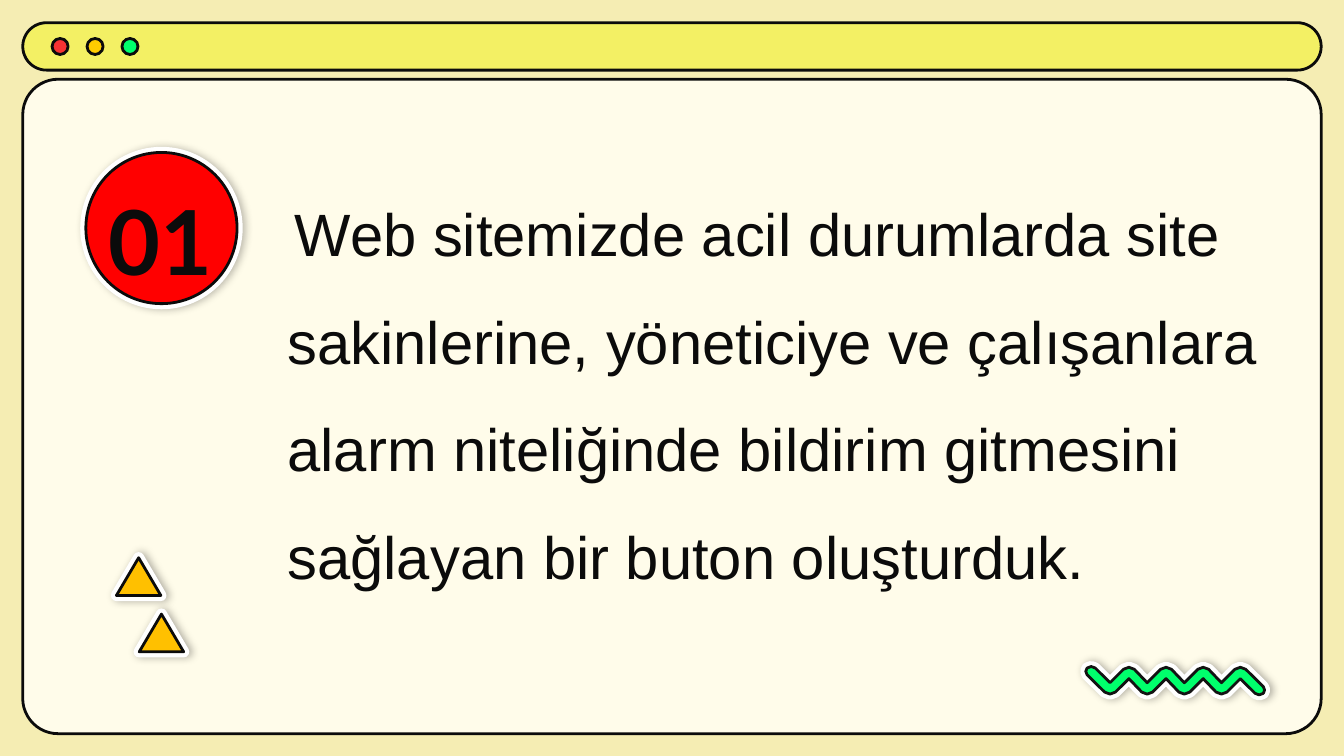
import pptx
import pptx.dml.color
import pptx.enum.shapes
import pptx.enum.text
import pptx.oxml
import pptx.oxml.ns
import pptx.util

Pt = pptx.util.Pt
SHAPE = pptx.enum.shapes.MSO_SHAPE
ALIGN = pptx.enum.text.PP_ALIGN
ANCHOR = pptx.enum.text.MSO_ANCHOR
AUTO_SIZE = pptx.enum.text.MSO_AUTO_SIZE
INK = "0B0B0B"


def color(hex_value):
    return pptx.dml.color.RGBColor.from_string(hex_value)


def apply_format(target, values):
    for name, value in values.items():
        setattr(target, name, value)


def paint(shape, fill, line, width):
    shape.shadow.inherit = False
    shape.fill.solid()
    shape.fill.fore_color.rgb = color(fill)
    shape.line.color.rgb = color(line)
    shape.line.width = Pt(width)


def add_shadow(shape, opacity):
    effects = shape._element.spPr.find(pptx.oxml.ns.qn("a:effectLst"))
    effects.append(pptx.oxml.parse_xml(
        f'<a:outerShdw {pptx.oxml.ns.nsdecls("a")} blurRad="{Pt(4.5)}" dist="{Pt(1.5)}" '
        'dir="0" algn="bl" rotWithShape="0"><a:srgbClr val="000000">'
        f'<a:alpha val="{opacity * 1000}"/></a:srgbClr></a:outerShdw>'))


def add_preset(shapes, kind, box, fill, line=INK, width=1.5, rounding=None):
    shape = shapes.add_shape(kind, *map(Pt, box))
    if rounding is not None:
        shape.adjustments[0] = rounding
    paint(shape, fill, line, width)
    return shape


def add_sticker(shapes, kind, box, fill, opacity):
    backing = add_preset(shapes, kind, box, fill, "FFFFFF", 6)
    add_shadow(backing, opacity)
    add_preset(shapes, kind, box, fill)


def zigzag_points(center_x, center_y):
    half = [(-47.2, -3.2), (-47.9, -5), (-47.2, -6.8), (-45, -7.6), (-42.8, -6.8)]
    for tooth in range(4):
        shift = 19.9 * tooth
        half += [(-34.9 + shift, 1.1), (-27.7 + shift, -6.1),
                 (-24.8 + shift, -7.2), (-21.9 + shift, -6.1)]
    outline = half + [(-x, -y) for x, y in half]
    return [(round((center_x + x) * 100), round((center_y + y) * 100)) for x, y in outline]


def add_zigzag(shapes, line, width):
    points = zigzag_points(629.6, 364.7)
    builder = shapes.build_freeform(*points[0], scale=Pt(1) / 100)
    builder.add_line_segments(points[1:], close=True)
    zigzag = builder.convert_to_shape()
    paint(zigzag, "00FF6C", line, width)
    return zigzag


def add_text(shapes, box, runs, frame_format, paragraph_format):
    frame = shapes.add_textbox(*map(Pt, box)).text_frame
    apply_format(frame, {"word_wrap": True, **frame_format})
    paragraph = frame.paragraphs[0]
    apply_format(paragraph, paragraph_format)
    for text, font_format in runs:
        run = paragraph.add_run()
        run.text = text
        apply_format(run.font, font_format)
        run.font.color.rgb = color(INK)


def add_window(shapes):
    add_preset(shapes, SHAPE.ROUNDED_RECTANGLE, (12.2, 42.5, 695.6, 350.6), "FFFCEA", rounding=0.054)
    add_preset(shapes, SHAPE.ROUNDED_RECTANGLE, (12.2, 12.2, 695.6, 25.4), "F3F064", rounding=0.5)
    for index, button in enumerate(("F53333", "FFCC00", "00FF6C")):
        add_preset(shapes, SHAPE.OVAL, (27.9 + 18.72 * index, 20.6, 8.6, 8.6), button)


def main():
    deck = pptx.Presentation()
    apply_format(deck, {"slide_width": Pt(720), "slide_height": Pt(405)})
    slide = deck.slides.add_slide(deck.slide_layouts[6])
    slide.background.fill.solid()
    slide.background.fill.fore_color.rgb = color("F5EDB3")
    shapes = slide.shapes

    add_window(shapes)

    badge = shapes.add_group_shape().shapes
    add_sticker(badge, SHAPE.OVAL, (46, 81.7, 81, 81), "FF0000", 26)
    insets = {f"margin_{side}": Pt(7.2) for side in ("left", "top", "right", "bottom")}
    add_text(shapes, (45.4, 96.5, 80.6, 67.7),
             [("01", {"name": "Lato", "size": Pt(48), "bold": True})],
             {"vertical_anchor": ANCHOR.BOTTOM, **insets}, {"alignment": ALIGN.CENTER})

    triangles = shapes.add_group_shape().shapes
    for left, top in ((62.4, 298.8), (74.6, 329)):
        add_sticker(triangles, SHAPE.ISOSCELES_TRIANGLE, (left, top, 23.8, 20.2), "FFC000", 29)

    wave = shapes.add_group_shape().shapes
    add_shadow(add_zigzag(wave, "FFFFFF", 6), 29)
    add_zigzag(wave, "131313", 1.5)

    message = ("Web sitemizde acil durumlarda site sakinlerine, yöneticiye ve çalışanlara "
               "alarm niteliğinde bildirim gitmesini sağlayan bir buton oluşturduk.")
    add_text(shapes, (146.9, 82.8, 543.6, 273.6),
             [(" ", {"name": "Arial", "size": Pt(14)}),
              (message, {"name": "Arial", "size": Pt(32)})],
             {"auto_size": AUTO_SIZE.SHAPE_TO_FIT_TEXT}, {"line_spacing": 1.5})

    deck.save("out.pptx")


if __name__ == "__main__":
    main()
